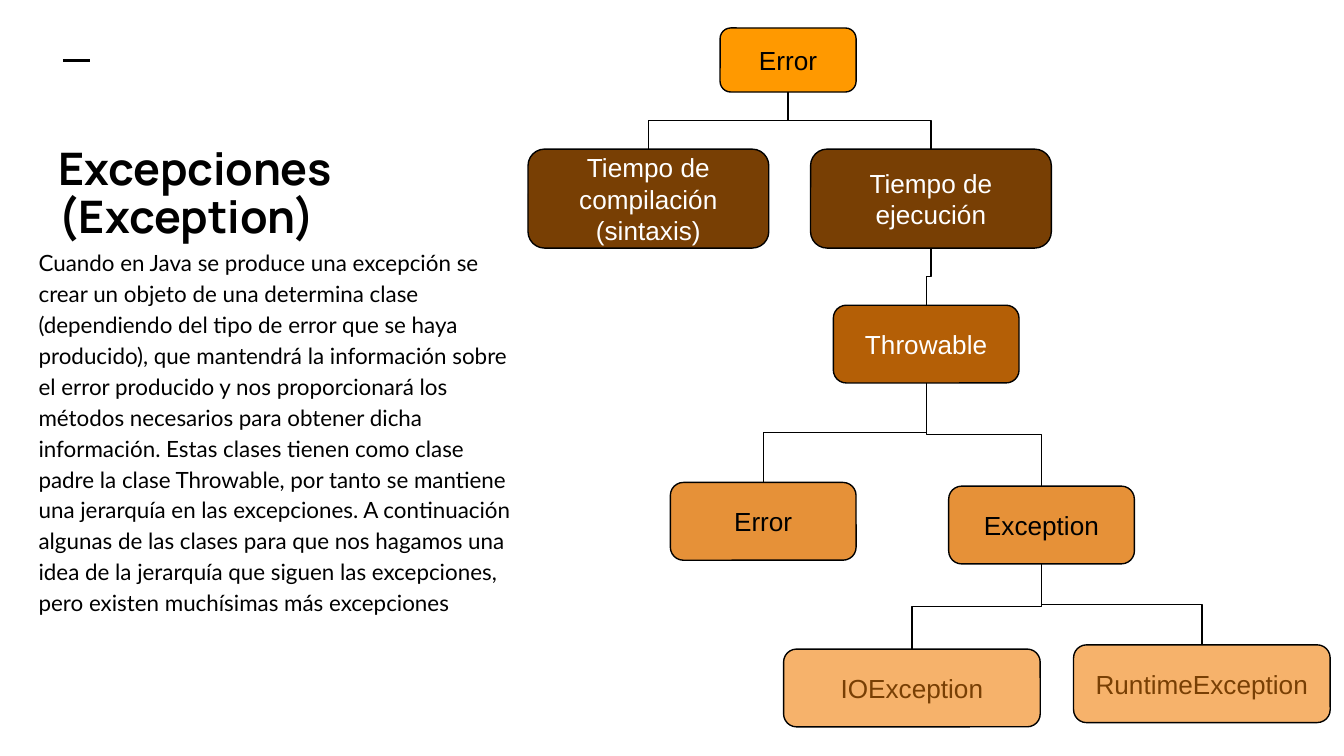
from pptx import Presentation
from pptx.dml.color import RGBColor
from pptx.enum.shapes import MSO_CONNECTOR as CONNECTOR, MSO_SHAPE as SHAPE
from pptx.enum.text import MSO_ANCHOR as ANCHOR, MSO_AUTO_SIZE as AUTO_SIZE, PP_ALIGN as ALIGN
from pptx.oxml.ns import qn
from pptx.util import Cm, Pt
from lxml.etree import SubElement

COLORS = {
    "black": "000000",
    "white": "FFFFFF",
    "orange": "FF9900",
    "brown": "783F04",
    "rust": "B45F06",
    "amber": "E69138",
    "peach": "F6B26B",
}


def write(shape, text, font_name, size, color, anchor, align, bold=False):
    frame = shape.text_frame
    frame.word_wrap = True
    frame.auto_size = AUTO_SIZE.NONE
    frame.vertical_anchor = anchor
    frame.margin_left = frame.margin_right = Cm(0.25)
    frame.margin_top = frame.margin_bottom = Cm(0.25)
    frame.text = text
    paragraph = frame.paragraphs[0]
    paragraph.alignment = align
    font = paragraph.runs[0].font
    font.name, font.size, font.bold = font_name, Pt(size), bold
    font.color.rgb = RGBColor.from_string(COLORS[color])
    return paragraph


def style_connector(connector, width):
    connector.line.color.rgb = RGBColor.from_string(COLORS["black"])
    connector.line.width = Pt(width)
    SubElement(connector.element.spPr, qn("a:effectLst"))


presentation = Presentation()
presentation.slide_width = Cm(25.4)
presentation.slide_height = Cm(14.29)
slide = presentation.slides.add_slide(presentation.slide_layouts[5])
shapes = slide.shapes

dash = shapes.add_connector(CONNECTOR.STRAIGHT, Cm(1.19), Cm(1.14), Cm(1.7), Cm(1.14))
style_connector(dash, 1.5)

title = shapes.title
title.left, title.top, title.width, title.height = Cm(0.86), Cm(1.4), Cm(8.69), Cm(3.45)
paragraph = write(title, "Excepciones (Exception)", "Manrope", 24, "black",
                  ANCHOR.BOTTOM, ALIGN.LEFT, bold=True)
paragraph.line_spacing = 0.9

body = shapes.add_textbox(Cm(0.48), Cm(4.39), Cm(9.58), Cm(8.61))
paragraph = write(
    body,
    "Cuando en Java se produce una excepción se crear un objeto de una determina clase "
    "(dependiendo del tipo de error que se haya producido), que mantendrá la información "
    "sobre el error producido y nos proporcionará los métodos necesarios para obtener dicha "
    "información. Estas clases tienen como clase padre la clase Throwable, por tanto se "
    "mantiene una jerarquía en las excepciones. A continuación algunas de las clases para "
    "que nos hagamos una idea de la jerarquía que siguen las excepciones, pero existen "
    "muchísimas más excepciones",
    "Lato", 12, "black", ANCHOR.TOP, ALIGN.LEFT)
paragraph.line_spacing = 1.15
paragraph.space_after = Pt(16)

nodes = [
    ("root", "Error", 13.61, 0.53, 2.57, 1.21, "orange", "black"),
    ("compile", "Tiempo de compilación (sintaxis)", 9.98, 2.82, 4.55, 1.87, "brown", "white"),
    ("run", "Tiempo de ejecución", 15.32, 2.82, 4.55, 1.87, "brown", "white"),
    ("throwable", "Throwable", 15.75, 5.77, 3.51, 1.47, "rust", "white"),
    ("error", "Error", 12.67, 9.12, 3.51, 1.47, "amber", "black"),
    ("exception", "Exception", 17.93, 9.19, 3.51, 1.47, "amber", "black"),
    ("runtime", "RuntimeException", 20.29, 12.19, 4.85, 1.47, "peach", "brown"),
    ("io", "IOException", 14.81, 12.27, 4.85, 1.47, "peach", "brown"),
]
boxes = {}
for key, text, left, top, width, height, fill, color in nodes:
    box = shapes.add_shape(SHAPE.ROUNDED_RECTANGLE, Cm(left), Cm(top), Cm(width), Cm(height))
    box.shadow.inherit = False
    box.fill.solid()
    box.fill.fore_color.rgb = RGBColor.from_string(COLORS[fill])
    box.line.color.rgb = RGBColor.from_string(COLORS["black"])
    box.line.width = Pt(0.75)
    write(box, text, "Arial", 14, color, ANCHOR.MIDDLE, ALIGN.CENTER)
    boxes[key] = box

links = [
    ("root", "compile"), ("root", "run"), ("run", "throwable"),
    ("throwable", "error"), ("throwable", "exception"),
    ("exception", "io"), ("exception", "runtime"),
]
for parent_key, child_key in links:
    parent, child = boxes[parent_key], boxes[child_key]
    start_x, start_y = parent.left + parent.width // 2, parent.top + parent.height
    end_x, end_y = child.left + child.width // 2, child.top
    connector = shapes.add_connector(CONNECTOR.ELBOW, start_x, start_y, end_x, end_y)
    connector.begin_connect(parent, 2)
    connector.end_connect(child, 0)
    run, rise = end_y - start_y, abs(end_x - start_x)
    connector.left = (start_x + end_x - run) // 2
    connector.top = (start_y + end_y - rise) // 2
    connector.width, connector.height = run, rise
    transform = connector.element.spPr.xfrm
    goes_right = end_x > start_x
    transform.rot = 270 if goes_right else 90
    transform.flipH = goes_right
    transform.flipV = False
    style_connector(connector, 0.75)

presentation.save("out.pptx")
